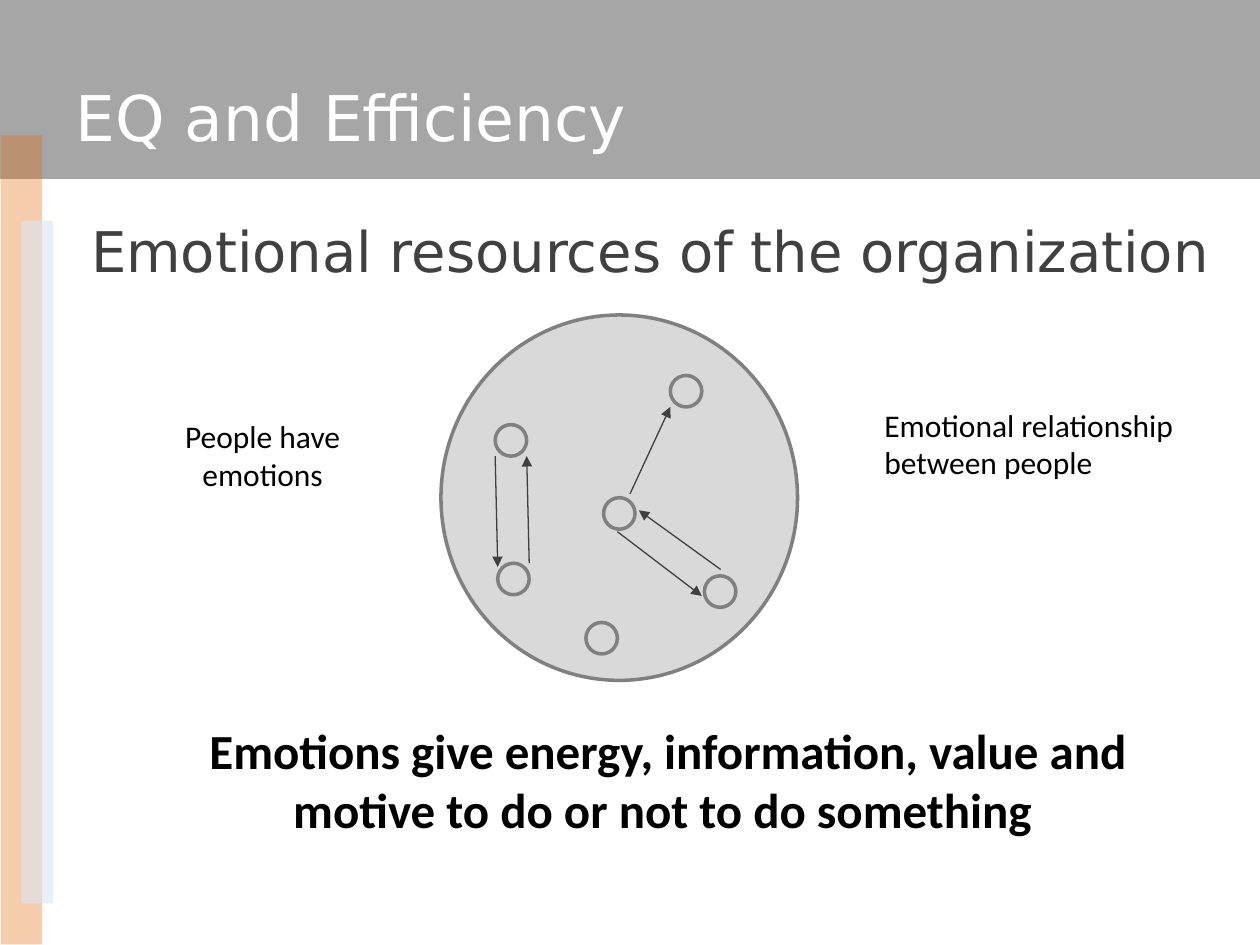
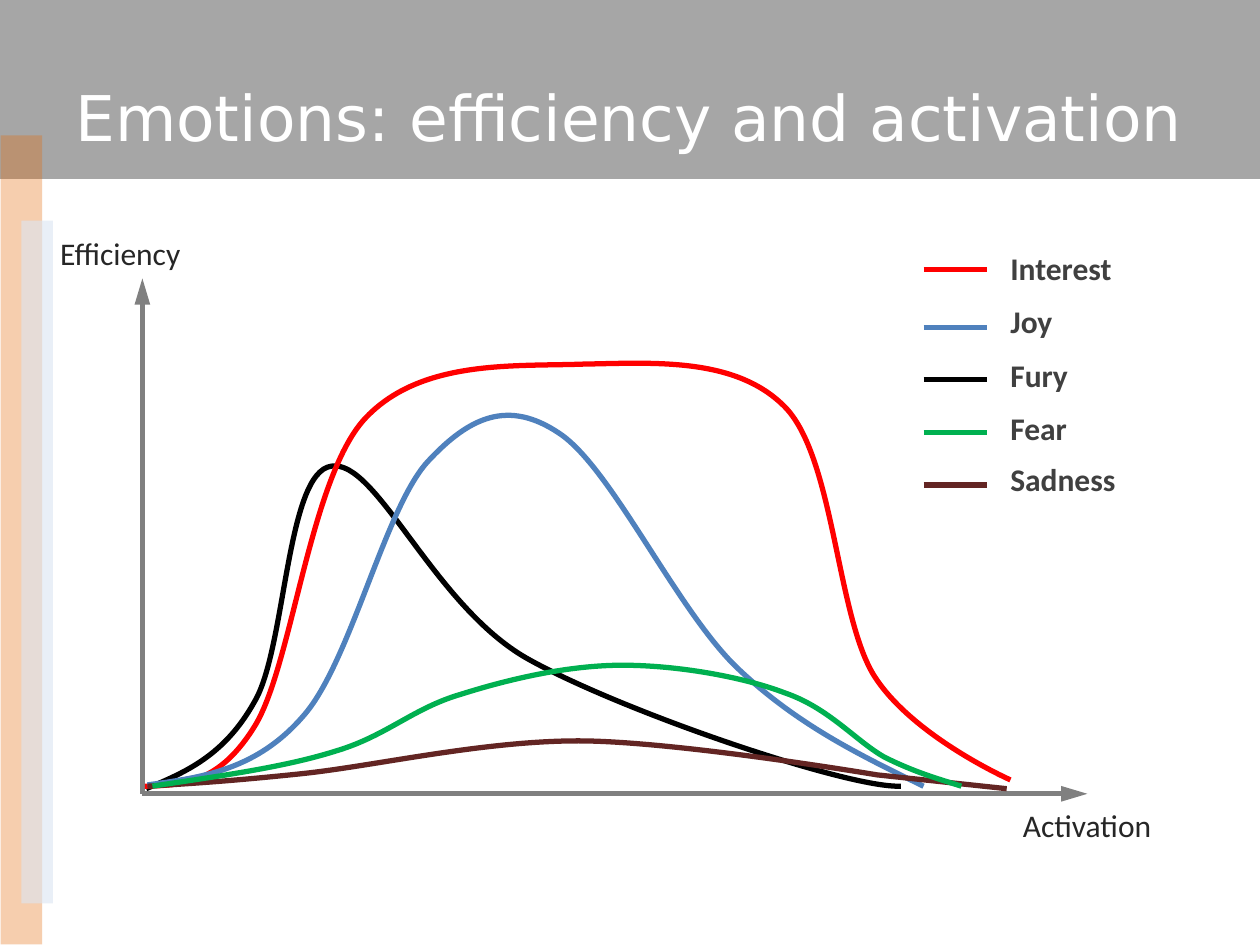
import dataclasses

import lxml.etree
import pptx
import pptx.dml.color
import pptx.enum.shapes
import pptx.enum.text
import pptx.oxml.ns
import pptx.util

Inches = pptx.util.Inches
Pt = pptx.util.Pt
RGBColor = pptx.dml.color.RGBColor
MSO_SHAPE = pptx.enum.shapes.MSO_SHAPE
PP_ALIGN = pptx.enum.text.PP_ALIGN
MSO_ANCHOR = pptx.enum.text.MSO_ANCHOR
qn = pptx.oxml.ns.qn


@dataclasses.dataclass(frozen=True)
class Theme:
    heading_font: str = "DejaVu Sans"
    body_font: str = "Calibri"
    title_size: int = 36
    subtitle_size: int = 32
    message_size: int = 28
    label_size: int = 18
    white: str = "FFFFFF"
    black: str = "000000"
    ink: str = "262626"
    dark: str = "404040"
    outline: str = "808080"
    header: str = "A6A6A6"
    circle: str = "D9D9D9"
    orange: str = "E46C0A"
    pale_blue: str = "DCE6F2"
    red: str = "FF0000"
    blue: str = "4F81BD"
    green: str = "00B050"
    brown: str = "632523"
    thin: float = 0.75
    medium: float = 2
    thick: float = 3


theme = Theme()


def add_text(shapes, text, box, size, color, font=theme.body_font, bold=False,
             align=PP_ALIGN.LEFT, anchor=MSO_ANCHOR.TOP, wrap=True):
    shape = shapes.add_textbox(*map(Inches, box))
    frame = shape.text_frame
    frame.word_wrap = wrap
    frame.vertical_anchor = anchor
    paragraph = frame.paragraphs[0]
    paragraph.alignment = align
    run = paragraph.add_run()
    run.text = text
    run.font.name = font
    run.font.size = Pt(size)
    run.font.bold = bold
    run.font.color.rgb = RGBColor.from_string(color)


def add_line(shapes, start, end, color, width, arrow_length=None):
    connector = shapes.add_connector(
        pptx.enum.shapes.MSO_CONNECTOR.STRAIGHT, *map(Inches, (*start, *end)))
    connector.line.color.rgb = RGBColor.from_string(color)
    connector.line.width = Pt(width)
    properties = connector.element.spPr
    if arrow_length:
        lxml.etree.SubElement(properties.find(qn("a:ln")), qn("a:tailEnd"),
                              type="triangle", len=arrow_length)
    lxml.etree.SubElement(properties, qn("a:effectLst"))


presentation = pptx.Presentation()
presentation.slide_width = Inches(10)
presentation.slide_height = Inches(7.5)

bands = [
    ((0, 0, 10, 1.42), 0, theme.header, 100),
    ((-3.04, 4.12, 6.42, 0.33), 270, theme.orange, 33),
    ((0.17, 1.75, 0.25, 5.42), 0, theme.pale_blue, 61),
]
titles = {"EQ and Efficiency": 9, "Emotions: efficiency and activation": 9.5}
slides = []
for title, title_width in titles.items():
    slide = presentation.slides.add_slide(presentation.slide_layouts[6])
    for box, rotation, color, opacity in bands:
        band = slide.shapes.add_shape(MSO_SHAPE.RECTANGLE, *map(Inches, box))
        band.rotation = rotation
        band.shadow.inherit = False
        band.line.fill.background()
        band.fill.solid()
        band.fill.fore_color.rgb = RGBColor.from_string(color)
        if opacity < 100:
            color_element = band.element.spPr.find(qn("a:solidFill"))[0]
            lxml.etree.SubElement(color_element, qn("a:alpha"), val=str(opacity * 1000))
    add_text(slide.shapes, title, (0.5, 0.3, title_width, 1.25), theme.title_size, theme.white,
             font=theme.heading_font, anchor=MSO_ANCHOR.MIDDLE)
    slides.append(slide)
organization_slide, activation_slide = slides

shapes = organization_slide.shapes
add_text(shapes, "Emotional resources of the organization", (0.5, 1.67, 9.33, 0.67),
         theme.subtitle_size, theme.dark, font=theme.heading_font, align=PP_ALIGN.CENTER)

organization = shapes.add_group_shape().shapes
people = [(3.93, 3.37), (3.95, 4.47), (4.65, 4.94), (5.32, 2.98), (4.79, 3.95), (5.59, 4.57)]
circles = [(3.5, 2.5, 2.83, 2.9)] + [(left, top, 0.25, 0.25) for left, top in people]
for box in circles:
    circle = organization.add_shape(MSO_SHAPE.OVAL, *map(Inches, box))
    circle.shadow.inherit = False
    circle.fill.solid()
    circle.fill.fore_color.rgb = RGBColor.from_string(theme.circle)
    circle.line.color.rgb = RGBColor.from_string(theme.outline)
    circle.line.width = Pt(theme.medium)

relationships = [
    ((3.93, 3.62), (3.95, 4.5)),
    ((4.2, 4.47), (4.18, 3.62)),
    ((5, 3.92), (5.32, 3.23)),
    ((5.72, 4.52), (5.07, 4.05)),
    ((4.9, 4.22), (5.57, 4.73)),
]
for start, end in relationships:
    add_line(organization, start, end, theme.dark, theme.thin, arrow_length="med")

add_text(shapes, "People have emotions", (1.25, 3.26, 1.67, 0.71),
         theme.label_size, theme.black, align=PP_ALIGN.CENTER)
add_text(shapes, "Emotional relationship between people", (6.92, 3.17, 2.67, 0.71),
         theme.label_size, theme.black)
add_text(shapes, "Emotions give energy, information, value and motive to do or not to do something ",
         (1.01, 5.67, 8.58, 1.04), theme.message_size, theme.black, bold=True,
         align=PP_ALIGN.CENTER)

shapes = activation_slide.shapes
origin = (1.13, 6.3)
for axis_end in ((1.13, 2.21), (8.63, 6.3)):
    add_line(shapes, origin, axis_end, theme.outline, theme.thick, arrow_length="lg")

emotion_colors = {
    "Interest": theme.red,
    "Joy": theme.blue,
    "Fury": theme.black,
    "Fear": theme.green,
    "Sadness": theme.brown,
}
bezier_curves = {
    "Fury": ((1.16, 3.7, 5.99, 2.57), [
        (1.16, 6.26), (1.47, 6.13), (1.78, 6), (2.02, 5.57),
        (2.27, 5.15), (2.27, 3.75), (2.63, 3.7),
        (2.99, 3.64), (3.44, 4.81), (4.19, 5.23),
        (4.94, 5.65), (6.74, 6.26), (7.15, 6.24),
    ]),
    "Interest": ((1.15, 2.88, 6.86, 3.35), [
        (1.15, 6.24), (1.44, 6.23), (1.74, 6.23), (2.03, 5.75),
        (2.32, 5.26), (2.46, 3.81), (2.89, 3.33),
        (3.33, 2.85), (4.07, 2.91), (4.63, 2.89),
        (5.19, 2.88), (5.85, 2.83), (6.24, 3.24),
        (6.62, 3.65), (6.64, 4.86), (6.93, 5.35),
        (7.23, 5.84), (8.02, 6.19), (8.02, 6.19),
    ]),
    "Joy": ((1.17, 3.3, 6.16, 2.94), [
        (1.17, 6.23), (1.61, 6.17), (2.04, 6.11), (2.41, 5.68),
        (2.78, 5.26), (3.05, 4.05), (3.39, 3.67),
        (3.73, 3.3), (4.04, 3.17), (4.44, 3.44),
        (4.85, 3.71), (5.36, 4.82), (5.84, 5.29),
        (6.32, 5.75), (6.82, 5.99), (7.33, 6.24),
    ]),
    "Sadness": ((1.17, 5.88, 6.81, 0.38), [
        (1.17, 6.24), (1.5, 6.22), (1.83, 6.2), (2.4, 6.14),
        (2.97, 6.08), (3.83, 5.88), (4.59, 5.88),
        (5.35, 5.88), (6.96, 6.15), (6.96, 6.15),
        (7.99, 6.26),
    ]),
    "Fear": ((1.21, 5.28, 6.42, 0.96), [
        (1.21, 6.24), (1.74, 6.16), (2.26, 6.09), (2.67, 5.96),
        (3.07, 5.84), (3.28, 5.62), (3.66, 5.51),
        (4.04, 5.39), (4.51, 5.28), (4.94, 5.28),
        (5.37, 5.28), (5.89, 5.37), (6.23, 5.5),
        (6.58, 5.62), (6.79, 5.88), (7.02, 6.01),
        (7.26, 6.13), (7.44, 6.18), (7.63, 6.24),
    ]),
}
for emotion, (box, points) in bezier_curves.items():
    left, top, width, height = box
    builder = shapes.build_freeform(*map(Inches, points[0]))
    builder.add_line_segments([tuple(map(Inches, point)) for point in points[1:]], close=False)
    curve = builder.convert_to_shape()
    curve.left, curve.top, curve.width, curve.height = map(Inches, box)
    outline = next(curve.element.iter(qn("a:path")))
    outline.set("w", str(Inches(width)))
    outline.set("h", str(Inches(height)))
    for segment in outline.findall(qn("a:lnTo")):
        outline.remove(segment)
    for vertex, (x, y) in zip(outline.iter(qn("a:pt")), points):
        vertex.set("x", str(Inches(x - left)))
        vertex.set("y", str(Inches(y - top)))
    for first in range(1, len(points), 3):
        group = points[first:first + 3]
        tag = "a:cubicBezTo" if len(group) == 3 else "a:lnTo"
        segment = lxml.etree.SubElement(outline, qn(tag))
        for x, y in group:
            lxml.etree.SubElement(segment, qn("a:pt"),
                                  x=str(Inches(x - left)), y=str(Inches(y - top)))
    curve.shadow.inherit = False
    curve.fill.background()
    curve.line.color.rgb = RGBColor.from_string(emotion_colors[emotion])
    curve.line.width = Pt(theme.thick)

add_text(shapes, "Efficiency", (0.38, 1.81, 1.17, 0.4), theme.label_size, theme.ink, wrap=False)
add_text(shapes, "Activation", (8.02, 6.35, 1.23, 0.4), theme.label_size, theme.ink, wrap=False)

legend = shapes.add_group_shape().shapes
line_heights = (2.14, 2.6, 3.01, 3.43, 3.85)
label_tops = (1.93, 2.35, 2.78, 3.2, 3.6)
for (emotion, color), line_y, label_top in zip(emotion_colors.items(), line_heights, label_tops):
    add_line(legend, (7.33, line_y), (7.83, line_y), color, theme.thick)
    add_text(legend, emotion, (7.92, label_top, 1.42, 0.4), theme.label_size, theme.dark, bold=True)

presentation.save("out.pptx")
